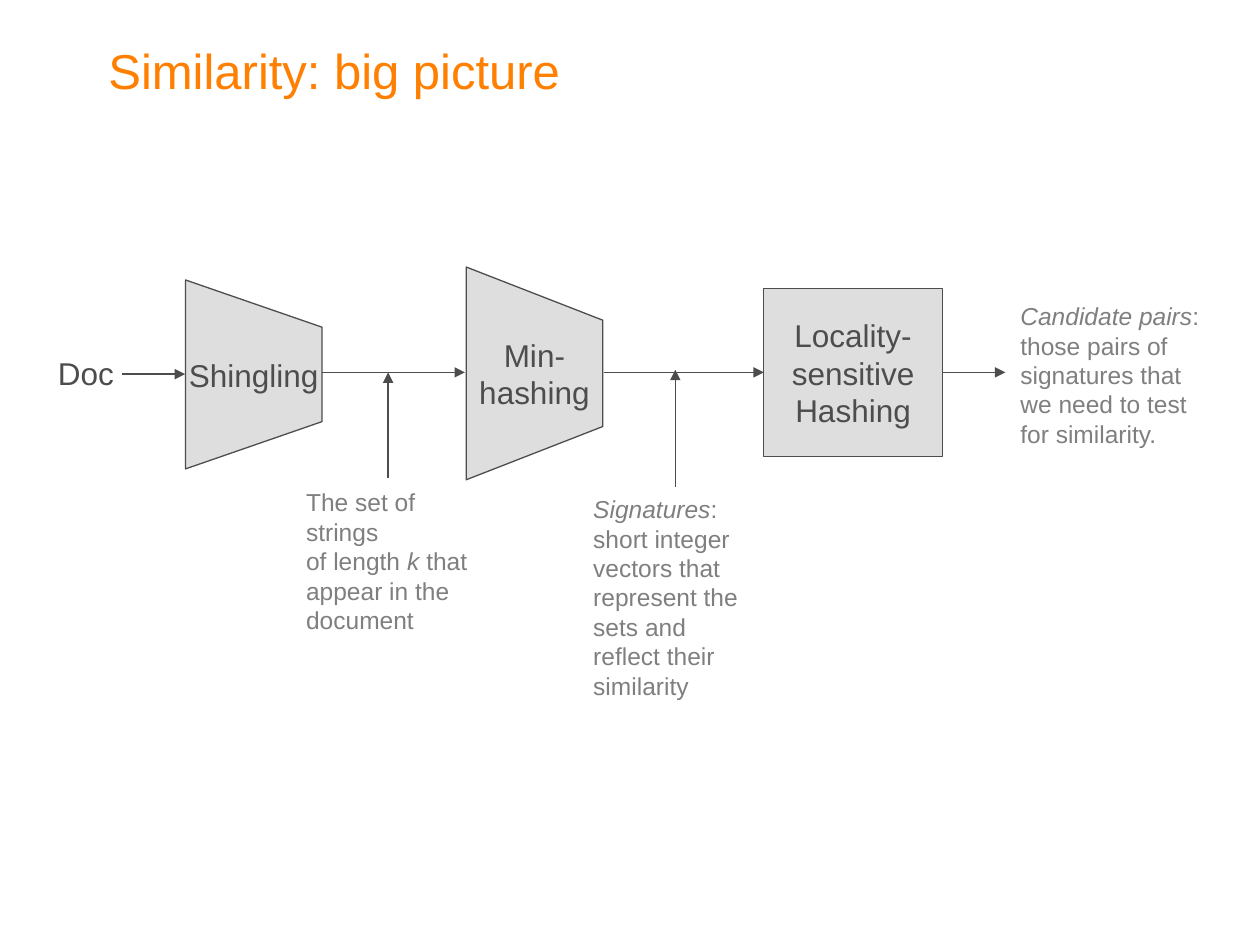
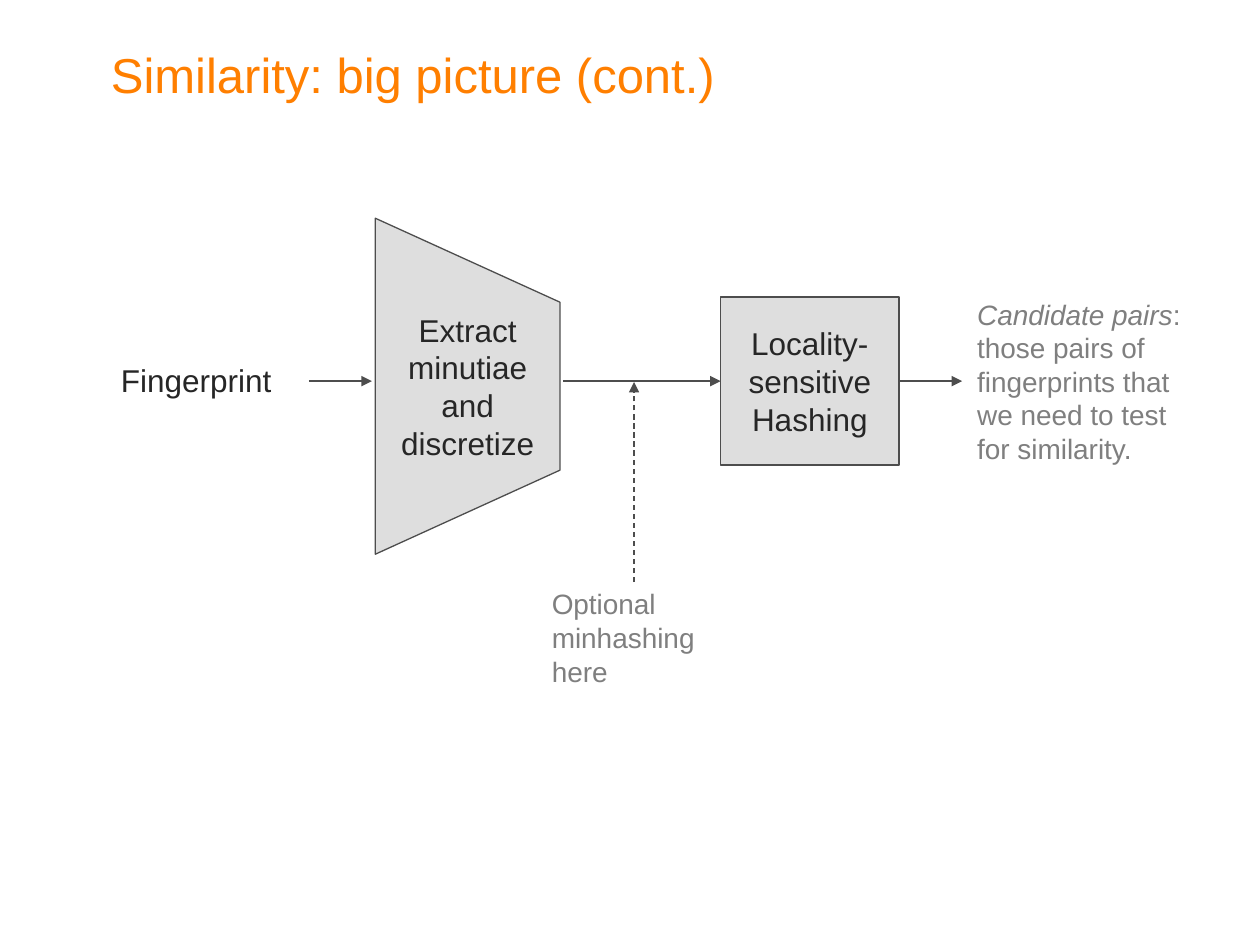
from lxml import etree
from pptx import Presentation
from pptx.dml.color import RGBColor
from pptx.enum import dml, shapes, text
from pptx.oxml import ns
from pptx.util import Pt

FONT = "Arial"
ORANGE, LINE, GRAY = "FF7F00", "4D4D4D", "7F7F7F"
SHAPE_FILL, DARK = "BFBFBF", "262626"
HASHING = ["Locality-", "sensitive", "Hashing"]
HASHING_WIDTH, HASHING_HEIGHT = 102, 96
OUTPUT_LENGTH = 36


def color(value):
    return RGBColor.from_string(value)


def add_child(parent, tag, **attributes):
    return etree.SubElement(parent, ns.qn(tag), attributes)


def write(frame, lines, size, font_color, align=text.PP_ALIGN.LEFT):
    """Fill a text frame; *stars* mark italic runs."""
    for index, line in enumerate(lines):
        paragraph = frame.paragraphs[0] if index == 0 else frame.add_paragraph()
        paragraph.alignment = align
        paragraph.font.name = FONT
        paragraph.font.size = Pt(size)
        paragraph.font.color.rgb = color(font_color)
        for position, part in enumerate(line.split("*")):
            if part:
                run = paragraph.add_run()
                run.text = part
                if position % 2:
                    run.font.italic = True


def add_title(slide, left, top, wording):
    title = slide.shapes.title
    title.left, title.top, title.width, title.height = map(Pt, (left, top, 602.6, 34))
    frame = title.text_frame
    frame.margin_left = frame.margin_right = frame.margin_top = frame.margin_bottom = 0
    frame.vertical_anchor = text.MSO_ANCHOR.MIDDLE
    frame.word_wrap = True
    write(frame, [wording], 28, ORANGE)


def add_label(slide, box, lines, size, font_color):
    label = slide.shapes.add_textbox(*map(Pt, box))
    label.text_frame.word_wrap = True
    write(label.text_frame, lines, size, font_color)


def style_step(shape, lines, font_color):
    """Half-transparent gray step with a centred caption."""
    shape.shadow.inherit = False
    shape.fill.solid()
    shape.fill.fore_color.rgb = color(SHAPE_FILL)
    fill = shape._element.spPr.find(ns.qn("a:solidFill"))
    add_child(fill[0], "a:alpha", val="50000")
    shape.line.color.rgb = color(LINE)
    shape.line.width = Pt(0.75)
    frame = shape.text_frame
    frame.word_wrap = False
    frame.vertical_anchor = text.MSO_ANCHOR.MIDDLE
    write(frame, lines, 18, font_color, text.PP_ALIGN.CENTER)


def add_funnel(slide, box, lines, font_color):
    """Trapezoid whose right side is half as tall as its left side."""
    left, top, width, height = box
    right, bottom, inset = left + width, top + height, height / 4
    builder = slide.shapes.build_freeform(Pt(left), Pt(top))
    corners = [(right, top + inset), (right, bottom - inset), (left, bottom)]
    builder.add_line_segments([(Pt(x), Pt(y)) for x, y in corners], close=True)
    style_step(builder.convert_to_shape(), lines, font_color)


def add_arrow(slide, start, end, dashed=False):
    arrow = slide.shapes.add_connector(
        shapes.MSO_CONNECTOR.STRAIGHT, *map(Pt, (*start, *end)))
    arrow.line.color.rgb = color(LINE)
    arrow.line.width = Pt(0.75)
    if dashed:
        arrow.line.dash_style = dml.MSO_LINE.DASH
    add_child(arrow.line._get_or_add_ln(), "a:tailEnd", type="triangle")
    add_child(arrow._element.spPr, "a:effectLst")
    return arrow


def add_hashing_stage(slide, left, axis, feed_start, note, note_box, note_size, font_color):
    """Hashing box on the axis, its arrows, and the note placed relative to it."""
    top = axis - HASHING_HEIGHT / 2
    right = left + HASHING_WIDTH
    hashing = slide.shapes.add_shape(
        shapes.MSO_SHAPE.RECTANGLE, *map(Pt, (left, top, HASHING_WIDTH, HASHING_HEIGHT)))
    style_step(hashing, HASHING, font_color)
    add_arrow(slide, (feed_start, axis), (left, axis)).end_connect(hashing, 1)
    output = add_arrow(slide, (right, axis), (right + OUTPUT_LENGTH, axis))
    output.begin_connect(hashing, 3)
    offset_x, offset_y, width, height = note_box
    add_label(slide, (right + offset_x, top + offset_y, width, height), note, note_size, GRAY)


def build_document_slide(slide):
    axis = 212.8
    add_title(slide, 62, 23, "Similarity: big picture")

    # Document to shingles
    add_label(slide, (26, 198.7, 60, 29), ["Doc"], 18, LINE)
    add_arrow(slide, (69.8, axis + 1), (105.8, axis + 1))
    add_funnel(slide, (106, 160, 78, 108), ["Shingling"], LINE)
    add_arrow(slide, (184, axis), (265.7, axis))
    add_label(slide, (167.8, 275, 107.3, 91.4),
              ["The set of strings", "of length *k* that appear in the document"], 14, GRAY)
    add_arrow(slide, (221.8, 272.9), (221.8, axis))

    # Shingles to signatures
    add_funnel(slide, (266.4, 152.6, 78, 121.6), ["Min-", "hashing"], LINE)
    add_label(slide, (331.9, 278.9, 109.4, 125.3),
              ["*Signatures*:", "short integer vectors that", "represent the", "sets and",
               "reflect their", "similarity"], 14, GRAY)
    add_arrow(slide, (385.9, 278.4), (385.9, axis - 1.5))

    # Signatures to candidate pairs
    note = ["*Candidate pairs*:",
            "those pairs of signatures that we need to test for similarity."]
    add_hashing_stage(slide, 436.5, axis, 345, note, (37.5, 3.8, 124.6, 91.4), 14, LINE)


def build_fingerprint_slide(slide):
    axis = 217.8
    add_title(slide, 63.4, 25.2, "Similarity: big picture (cont.)")

    # Fingerprint to minutiae
    add_label(slide, (62, 203, 104.4, 29), ["Fingerprint"], 18, DARK)
    add_arrow(slide, (176.5, axis), (212.5, axis))
    add_funnel(slide, (214.5, 124.7, 105.5, 192),
               ["Extract", "minutiae", "and", "discretize"], DARK)

    # Minutiae to candidate pairs
    note = ["*Candidate pairs*:",
            "those pairs of fingerprints that we need to test for similarity."]
    add_hashing_stage(slide, 411.8, axis, 321.8, note, (37.5, -3.5, 136, 103.7), 16, DARK)

    # Optional step
    add_label(slide, (308.2, 331.9, 108.7, 64.8), ["Optional", "minhashing", "here"], 16, GRAY)
    add_arrow(slide, (362.3, 332.6), (362.3, axis + 0.5), dashed=True)


def main():
    presentation = Presentation()
    presentation.slide_width, presentation.slide_height = Pt(720), Pt(540)
    title_only = presentation.slide_layouts[5]
    for build in (build_document_slide, build_fingerprint_slide):
        build(presentation.slides.add_slide(title_only))
    presentation.save("out.pptx")


if __name__ == "__main__":
    main()
